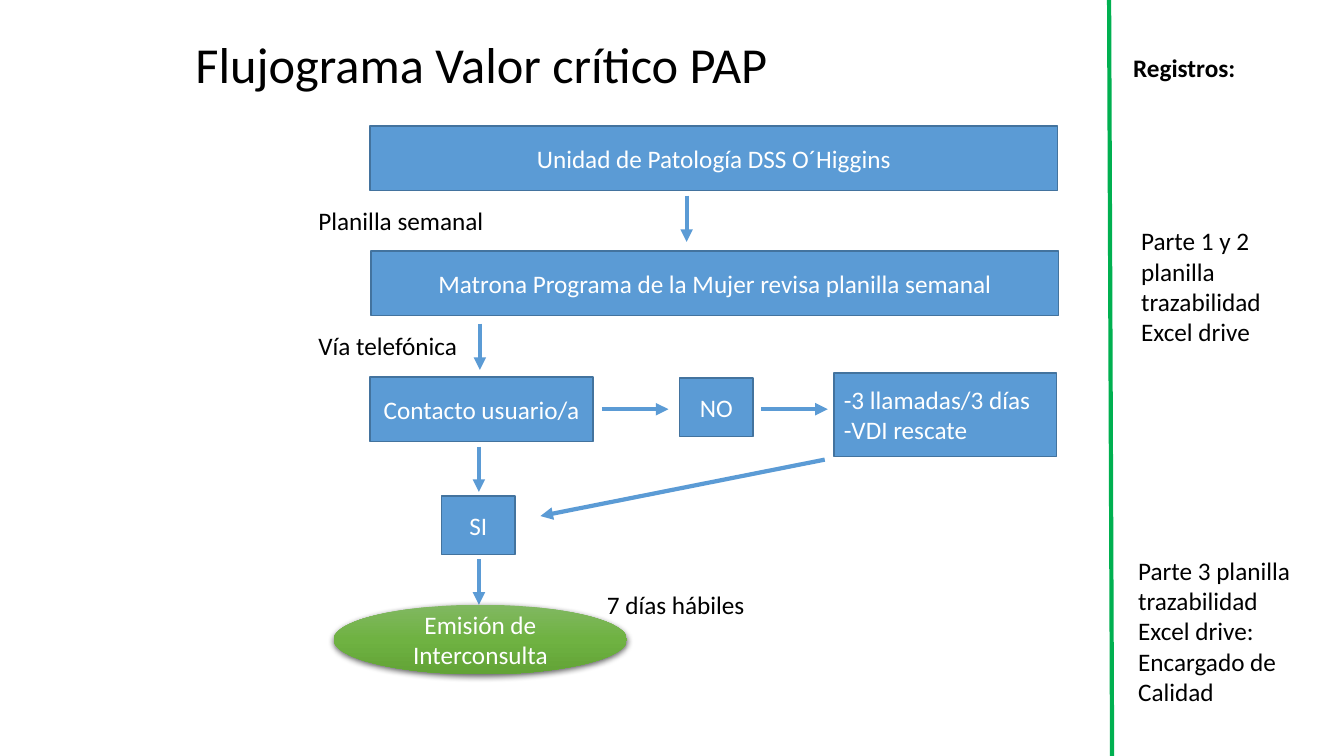
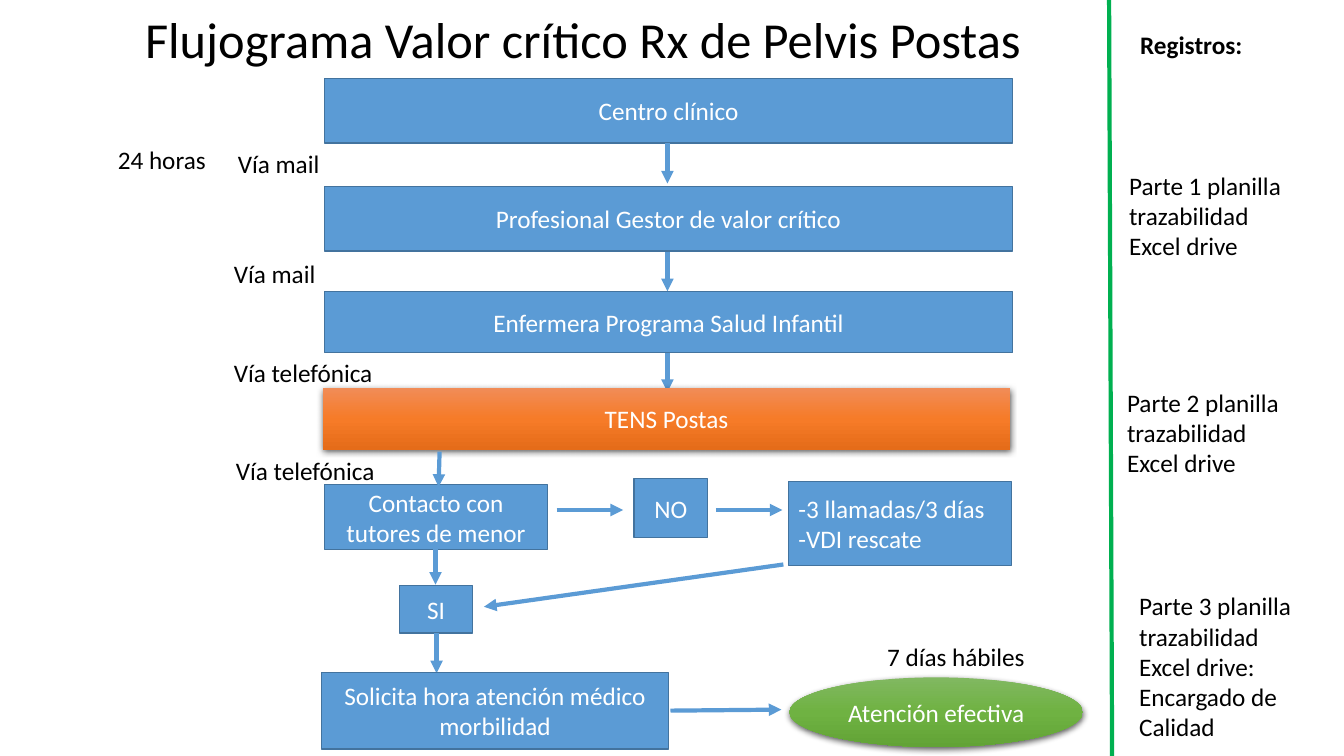
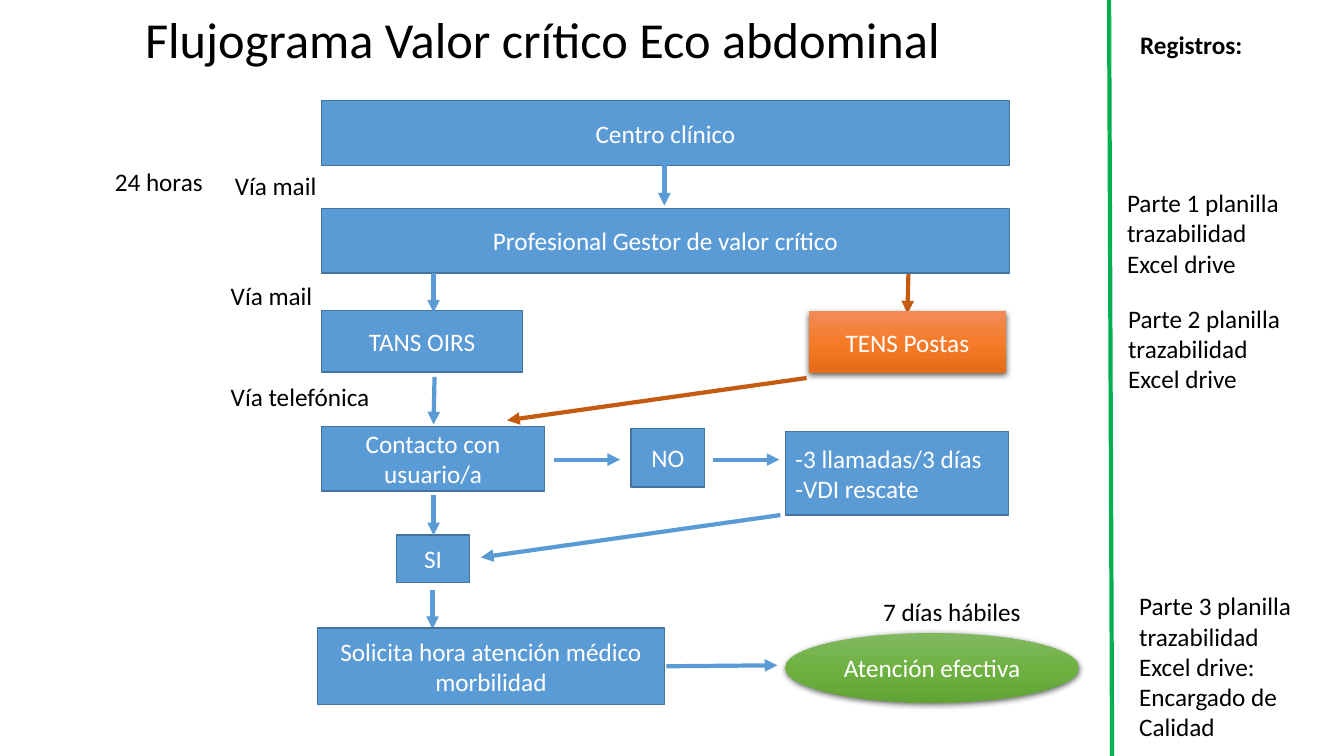
from copy import deepcopy

from pptx import Presentation
from pptx.dml.color import RGBColor
from pptx.enum import shapes, text
from pptx.oxml import ns, xmlchemy
from pptx.util import Inches, Pt

FONT = "Calibri"
BLACK = RGBColor(0x00, 0x00, 0x00)
WHITE = RGBColor(0xFF, 0xFF, 0xFF)
BLUE = RGBColor(0x5B, 0x9B, 0xD5)
DARK_BLUE = RGBColor(0x43, 0x73, 0x9E)
RUST = RGBColor(0xC5, 0x5A, 0x11)
DIVIDER_GREEN = RGBColor(0x00, 0xB0, 0x50)
GREENS = [RGBColor(0x81, 0xB8, 0x61), RGBColor(0x6F, 0xB2, 0x42), RGBColor(0x62, 0xA3, 0x36)]
ORANGES = [RGBColor(0xF1, 0x8C, 0x57), RGBColor(0xF6, 0x7B, 0x28), RGBColor(0xE5, 0x6C, 0x19)]

WIDE, ROW = 6.82, 0.64
BODY_SIZE, TITLE_SIZE = 18, 36
CENTER, LEFT = text.PP_ALIGN.CENTER, text.PP_ALIGN.LEFT
PART_1 = "Parte 1 planilla trazabilidad Excel drive"
PART_2 = "Parte 2 planilla trazabilidad Excel drive"
PART_3 = "Parte 3 planilla trazabilidad Excel drive: Encargado de Calidad"


def add_element(parent, tag, **attributes):
    element = xmlchemy.OxmlElement(tag)
    for name, value in attributes.items():
        element.set(name, str(value))
    parent.append(element)
    return element


class Flowchart:
    """Holds the presentation, the current slide and the shared style."""

    def __init__(self):
        self.presentation = Presentation()
        self.presentation.slide_width = Inches(13.33)
        self.presentation.slide_height = Inches(7.5)
        self.slide = None

    # Basic elements
    def add_lines(self, frame, lines, color, size=BODY_SIZE, bold=False, align=LEFT):
        for index, line in enumerate(lines):
            paragraph = frame.paragraphs[0] if index == 0 else frame.add_paragraph()
            paragraph.alignment = align
            run = paragraph.add_run()
            run.text = line
            run.font.name = FONT
            run.font.size = Pt(size)
            run.font.bold = bold
            run.font.color.rgb = color

    def textbox(self, left, top, width, height, content, wrap=True, **style):
        shape = self.slide.shapes.add_textbox(
            Inches(left), Inches(top), Inches(width), Inches(height))
        shape.text_frame.word_wrap = wrap
        self.add_lines(shape.text_frame, [content], BLACK, **style)
        return shape.text_frame

    def title(self, left, top, height, content):
        frame = self.textbox(left, top, 9.5, height, content, size=TITLE_SIZE)
        frame.vertical_anchor = text.MSO_ANCHOR.MIDDLE
        frame.paragraphs[0].line_spacing = 0.9

    def label(self, left, top, content, width=1.08):
        self.textbox(left, top, width, 0.4, content, wrap=False)

    def shape(self, kind, left, top, width, height, lines, align=CENTER):
        shape = self.slide.shapes.add_shape(
            kind, Inches(left), Inches(top), Inches(width), Inches(height))
        shape.shadow.inherit = False
        shape.text_frame.word_wrap = True
        shape.text_frame.vertical_anchor = text.MSO_ANCHOR.MIDDLE
        self.add_lines(shape.text_frame, lines, WHITE, align=align)
        return shape

    def box(self, left, top, width, height, *lines, align=CENTER):
        shape = self.shape(shapes.MSO_SHAPE.RECTANGLE, left, top, width, height, lines, align)
        shape.fill.solid()
        shape.fill.fore_color.rgb = BLUE
        shape.line.color.rgb = DARK_BLUE
        shape.line.width = Pt(1)

    def glossy(self, kind, left, top, width, height, content, colors):
        shape = self.shape(kind, left, top, width, height, [content])
        shape.line.fill.background()
        shape.fill.gradient()
        shape.fill.gradient_angle = 270
        properties = shape.element.spPr
        stop_list = properties.find(ns.qn("a:gradFill")).find(ns.qn("a:gsLst"))
        stop_list.insert(1, deepcopy(stop_list[0]))
        for stop, color, position in zip(shape.fill.gradient_stops, colors, (0, 0.5, 1)):
            stop.color.rgb = color
            stop.position = position
        shadow = add_element(properties.find(ns.qn("a:effectLst")), "a:outerShdw",
                             blurRad=Pt(4.5), dist=Pt(1.5), dir=5400000, rotWithShape=0)
        shadow_color = add_element(shadow, "a:srgbClr", val=BLACK)
        add_element(shadow_color, "a:alpha", val=63000)

    def goal(self, left, top, content):
        self.glossy(shapes.MSO_SHAPE.OVAL, left, top, 2.91, 0.69, content, GREENS)

    def rural_post(self, left, top, width):
        self.glossy(shapes.MSO_SHAPE.RECTANGLE, left, top, width, 0.61, "TENS Postas", ORANGES)

    def line(self, start_x, start_y, end_x, end_y, color):
        connector = self.slide.shapes.add_connector(
            shapes.MSO_CONNECTOR.STRAIGHT,
            Inches(start_x), Inches(start_y), Inches(end_x), Inches(end_y))
        connector.line.color.rgb = color
        connector.line.width = Pt(3)
        add_element(connector.element.spPr, "a:effectLst")
        return connector

    def arrow(self, start_x, start_y, end_x, end_y, color=BLUE):
        connector = self.line(start_x, start_y, end_x, end_y, color)
        outline = connector.element.spPr.find(ns.qn("a:ln"))
        add_element(outline, "a:tailEnd", type="triangle")

    def down(self, x, top, bottom):
        self.arrow(x, top, x, bottom)

    # Parts shared by the flowcharts
    def start_slide(self, heading, title_at, records_at, records):
        self.slide = self.presentation.slides.add_slide(self.presentation.slide_layouts[6])
        self.title(*title_at, heading)
        self.line(11, 0, 11.03, 7.5, DIVIDER_GREEN)
        self.textbox(*records_at, 1.83, 0.4, "Registros:", bold=True)
        for left, top, height, content in records:
            self.textbox(left, top, 1.83, height, content)

    def referral(self, left, top):
        self.box(left, top, WIDE, ROW, "Centro clínico")
        self.down(left + 3.4, top + ROW, top + 1.04)
        self.label(left - 2.15, top + 0.6, "24 horas")
        self.label(left - 0.96, top + 0.64, "Vía mail")
        self.box(left, top + 1.07, WIDE, ROW, "Profesional Gestor de valor crítico")
        self.label(left - 1, top + 1.73, "Vía mail", 1.02)

    def contact(self, left, top, content, axis, calls_top, yes_at, yes_height):
        """Contact box with its NO branch along the axis and its SI box below."""
        self.box(left, top, 2.21, ROW, content)
        self.box(left + 3.07, axis - 0.31, 0.73, 0.58, "NO")
        self.box(left + 4.6, calls_top, 2.21, 0.83,
                 "-3 llamadas/3 días", "-VDI rescate", align=LEFT)
        for offset in (2.3, 3.88):
            self.arrow(left + offset, axis, left + offset + 0.66, axis)
        self.box(*yes_at, 0.73, yes_height, "SI")

    def appointment(self, left, top):
        self.box(left, top, 3.44, 0.76, "Solicita hora atención médico morbilidad")
        self.arrow(left + 3.46, top + 0.38, left + 4.56, top + 0.37)
        self.goal(left + 4.64, top + 0.05, "Atención efectiva")
        self.label(left + 5.51, top - 0.36, "7 días hábiles", 1.58)


def pap_slide(chart):
    chart.start_slide(
        "Flujograma Valor crítico PAP", (1.84, -0.06, 1.45), (11.14, 0.47),
        [(11.22, 2.19, 1.31, "Parte 1 y 2 planilla trazabilidad Excel drive"),
         (11.19, 5.46, 1.62, PART_3)])
    # Weekly review
    chart.box(3.67, 1.25, WIDE, ROW, "Unidad de Patología DSS O´Higgins")
    chart.down(6.81, 1.94, 2.4)
    chart.label(3.06, 1.99, "Planilla semanal", 1.86)
    chart.box(3.68, 2.49, WIDE, ROW, "Matrona Programa de la Mujer revisa planilla semanal")
    chart.down(4.76, 3.21, 3.67)
    chart.label(3.06, 3.23, "Vía telefónica", 1.59)
    # Contact and outcome
    chart.contact(3.67, 3.74, "Contacto usuario/a", 4.06, 3.7, (4.38, 4.92), 0.58)
    chart.down(4.75, 4.43, 4.88)
    chart.arrow(8.18, 4.56, 5.36, 5.12)
    chart.down(4.75, 5.55, 6)
    chart.goal(3.31, 6, "Emisión de Interconsulta")
    chart.label(5.92, 5.8, "7 días hábiles", 1.58)


def pelvis_slide(chart):
    chart.start_slide(
        "Flujograma Valor crítico Rx de Pelvis Postas", (1.34, -0.09, 1.02), (11.21, 0.24),
        [(11.1, 1.64, 1.01, PART_1), (11.08, 3.79, 1.01, PART_2), (11.2, 5.81, 1.62, PART_3)])
    # Referral chain
    chart.referral(3.22, 0.78)
    chart.down(6.62, 2.5, 2.89)
    chart.box(3.22, 2.89, WIDE, 0.61, "Enfermera Programa Salud Infantil")
    chart.down(6.62, 3.5, 3.89)
    chart.label(2.22, 3.5, "Vía telefónica", 1.59)
    chart.rural_post(3.2, 3.85, WIDE)
    # Contact and outcome
    chart.contact(3.22, 4.81, "Contacto con tutores de menor", 5.06, 4.78, (3.96, 5.81), 0.47)
    chart.arrow(4.36, 4.48, 4.35, 4.83)
    chart.label(2.24, 4.47, "Vía telefónica", 1.59)
    chart.down(4.32, 5.41, 5.8)
    chart.arrow(7.77, 5.6, 4.8, 6.02)
    chart.down(4.33, 6.28, 6.68)
    chart.appointment(3.19, 6.67)


def abdominal_slide(chart):
    chart.start_slide(
        "Flujograma Valor crítico Eco abdominal", (1.34, -0.09, 1.02), (11.21, 0.24),
        [(11.08, 1.81, 1.01, PART_1), (11.09, 2.96, 1.01, PART_2), (11.2, 5.81, 1.62, PART_3)])
    # Referral to two teams
    chart.referral(3.19, 1)
    chart.box(3.19, 3.08, 1.99, 0.61, "TANS OIRS")
    chart.down(4.3, 2.71, 3.1)
    chart.arrow(9.01, 2.72, 9, 3.11, RUST)
    chart.rural_post(8.02, 3.09, 1.96)
    chart.label(2.19, 3.73, "Vía telefónica", 1.59)
    chart.arrow(4.31, 3.74, 4.3, 4.21)
    chart.arrow(8, 3.75, 5.03, 4.17, RUST)
    # Contact and outcome
    chart.contact(3.19, 4.23, "Contacto con usuario/a", 4.56, 4.28, (3.93, 5.31), 0.47)
    chart.down(4.3, 4.91, 5.31)
    chart.arrow(7.74, 5.11, 4.77, 5.53)
    chart.down(4.29, 5.85, 6.24)
    chart.appointment(3.15, 6.23)


def main():
    chart = Flowchart()
    pap_slide(chart)
    pelvis_slide(chart)
    abdominal_slide(chart)
    chart.presentation.save("out.pptx")


if __name__ == "__main__":
    main()
